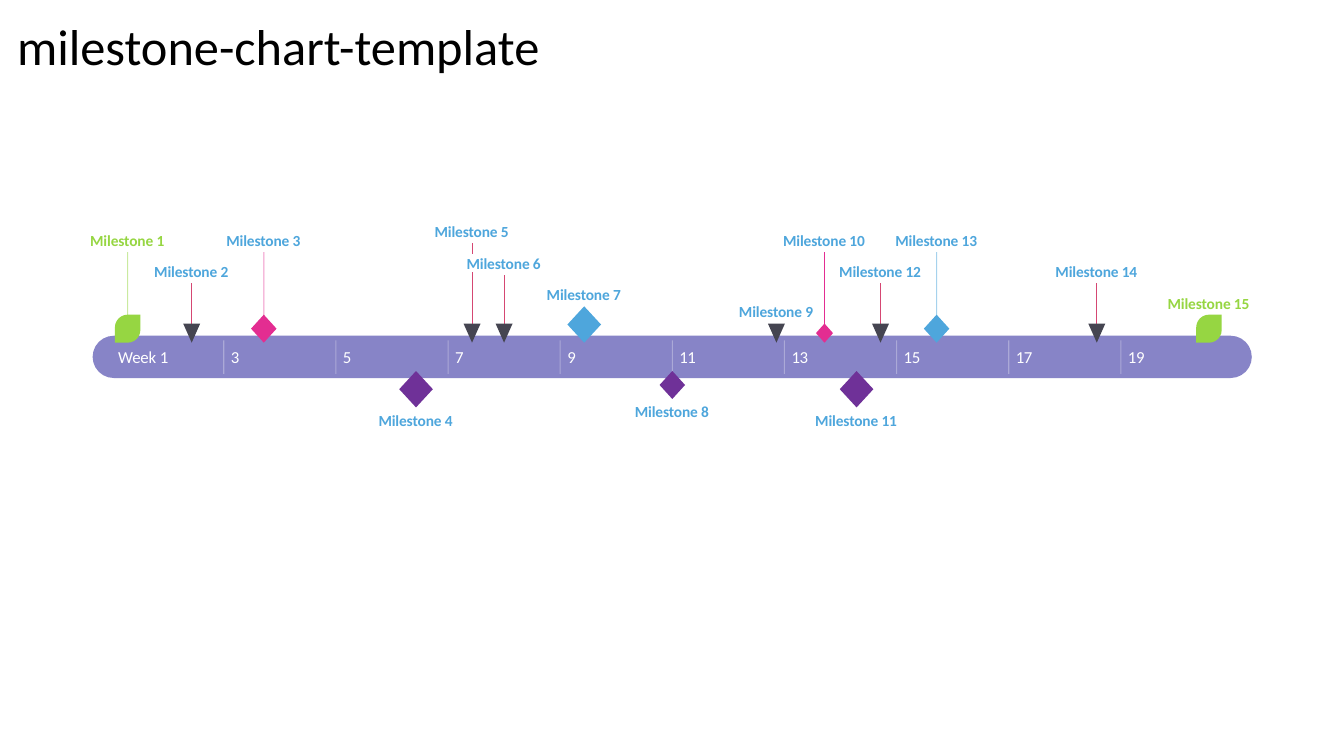
from dataclasses import dataclass

from lxml import etree
from pptx import Presentation
from pptx.dml.color import RGBColor
from pptx.enum import shapes, text
from pptx.oxml.ns import qn
from pptx.util import Pt


@dataclass(frozen=True)
class Theme:
    font: str = "Calibri"
    title_size: int = 36
    week_size: int = 12
    label_size: int = 11
    black: str = "000000"
    white: str = "FFFFFF"
    bar: str = "8784C7"
    green: str = "96D642"
    blue: str = "4EA6DC"
    pink: str = "E32D91"
    purple: str = "6F3198"
    dark: str = "454551"
    crimson: str = "D54773"


T = Theme()
SHAPE = shapes.MSO_SHAPE
ALIGN = text.PP_ALIGN

prs = Presentation()
prs.slide_width, prs.slide_height = Pt(960), Pt(540)
s = prs.slides.add_slide(prs.slide_layouts[5])


def add_line(x, top, bottom, color, opacity):
    """Draw a vertical hairline; opacity is in percent."""
    ln = s.shapes.add_connector(shapes.MSO_CONNECTOR.STRAIGHT, Pt(x), Pt(top), Pt(x), Pt(bottom))
    ln.line.width = Pt(0.75)
    ln.line.color.rgb = RGBColor.from_string(color)
    if opacity < 100:
        rgb = ln.line._ln.find(".//" + qn("a:srgbClr"))
        etree.SubElement(rgb, qn("a:alpha")).set("val", str(opacity * 1000))
    etree.SubElement(ln._element.spPr, qn("a:effectLst"))


def add_label(words, x, y, w, h, size, color, align, wrap, spacing):
    """Add a text box without margins; spacing is in hundredths of a point."""
    tf = s.shapes.add_textbox(Pt(x), Pt(y), Pt(w), Pt(h)).text_frame
    tf.margin_left = tf.margin_right = tf.margin_top = tf.margin_bottom = 0
    tf.vertical_anchor = text.MSO_ANCHOR.MIDDLE
    tf.word_wrap = wrap
    p = tf.paragraphs[0]
    p.alignment = align
    r = p.add_run()
    r.text = words
    p.font.name, p.font.size = T.font, Pt(size)
    p.font.bold = size == T.label_size
    p.font.color.rgb = RGBColor.from_string(color)
    r._r.get_or_add_rPr().set("spc", str(spacing))


# Title
title = s.shapes.title
title.left, title.top, title.width, title.height = Pt(5), Pt(7.2), Pt(582.5), Pt(51)
tf = title.text_frame
tf.text = "milestone-chart-template"
tf.auto_size = text.MSO_AUTO_SIZE.NONE
tf.vertical_anchor = text.MSO_ANCHOR.MIDDLE
p = tf.paragraphs[0]
p.alignment = ALIGN.LEFT
p.font.name, p.font.size = T.font, Pt(T.title_size)
p.font.color.rgb = RGBColor.from_string(T.black)

# Time scale: a tick every second week, the first one at day 14
FIRST_TICK, TICK_STEP = 159.84, 80.1
DAY = TICK_STEP / 14
BAR_TOP, BAR_HEIGHT = 239.8, 30.2
MARKER_BOTTOM, MARKER_TOP = 244.8, 265  # above and below the bar
LABEL_HEIGHT = 13.7

# Marker styles: shape, width, height
SMALL, MEDIUM, LARGE = (12.2, 13.7), (18.2, 20), (24, 26)
TRIANGLE = (SHAPE.ISOSCELES_TRIANGLE, *SMALL)
LEAF = (SHAPE.ROUND_2_DIAG_RECTANGLE, *MEDIUM)
DIAMOND_S, DIAMOND_M, DIAMOND_L = [(SHAPE.DIAMOND, *size) for size in (SMALL, MEDIUM, LARGE)]

# Milestones: day, marker, marker colour, label top (None sits next to the marker), above the bar
milestones = [
    (2, LEAF, T.green, 164.9, True),
    (10, TRIANGLE, T.dark, 187.2, True),
    (19, DIAMOND_M, T.pink, 164.9, True),
    (38, DIAMOND_L, T.purple, None, False),
    (45, TRIANGLE, T.dark, 158.6, True),
    (49, TRIANGLE, T.dark, 181.4, True),
    (59, DIAMOND_L, T.blue, None, True),
    (70, DIAMOND_M, T.purple, None, False),
    (83, TRIANGLE, T.dark, None, True),
    (89, DIAMOND_S, T.pink, 164.9, True),
    (93, DIAMOND_L, T.purple, None, False),
    (96, TRIANGLE, T.dark, 187.2, True),
    (103, DIAMOND_M, T.blue, 164.9, True),
    (123, TRIANGLE, T.dark, 187.2, True),
    (137, LEAF, T.green, None, True),
]

# Stems from label to marker centre; the fifth is broken by the sixth label
for number, (day, (kind, w, h), color, label_top, above) in enumerate(milestones, 1):
    if label_top is None:
        continue
    x = FIRST_TICK + (day - 14) * DAY
    start, end = label_top + 15.2, MARKER_BOTTOM - h / 2
    pieces = [(start, 181.4), (194.6, end)] if number == 5 else [(start, end)]
    for top, bottom in pieces:
        add_line(x, top, bottom, T.crimson if kind == SHAPE.ISOSCELES_TRIANGLE else color,
                 50 if (w, h) == MEDIUM else 100)

# Bar
bar = s.shapes.add_shape(SHAPE.ROUNDED_RECTANGLE, Pt(66.2), Pt(BAR_TOP), Pt(828), Pt(BAR_HEIGHT))
bar.adjustments[0] = 0.5
solids = [(bar, T.bar)]

# Week ticks and numbers
add_label("Week 1", 84.4, 247.7, 36.7, 14.4, T.week_size, T.white, ALIGN.LEFT, False, -10)
for i, week in enumerate(range(3, 20, 2)):
    x = FIRST_TICK + i * TICK_STEP
    add_line(x, BAR_TOP + 3.4, BAR_TOP + 27.3, T.white, 30)
    add_label(str(week), x + 5.1, 247.7, 6.1 * len(str(week)), 14.4,
              T.week_size, T.white, ALIGN.LEFT, False, -30)

# Markers and labels
for number, (day, (kind, w, h), color, label_top, above) in enumerate(milestones, 1):
    x = FIRST_TICK + (day - 14) * DAY
    top = MARKER_BOTTOM - h if above else MARKER_TOP
    if label_top is None:
        label_top = top - 15.3 if above else top + h + 2.1
    label_width = 54 if number < 10 else 59.8
    add_label(f"Milestone {number}", x - label_width / 2 - 0.3, label_top, label_width, LABEL_HEIGHT,
              T.label_size, T.green if color == T.green else T.blue, ALIGN.CENTER, True, -10)
    sp = s.shapes.add_shape(kind, Pt(x - w / 2), Pt(top), Pt(w), Pt(h))
    if kind == SHAPE.ISOSCELES_TRIANGLE:
        sp._element.spPr.xfrm.set("flipV", "1")
    elif kind == SHAPE.ROUND_2_DIAG_RECTANGLE:
        sp.adjustments[0], sp.adjustments[1] = 0.5, 0
    solids.append((sp, color))

# Plain fill for the bar and all markers
for sp, color in solids:
    sp.shadow.inherit = False
    sp.fill.solid()
    sp.fill.fore_color.rgb = RGBColor.from_string(color)
    sp.line.fill.background()

prs.save("out.pptx")
